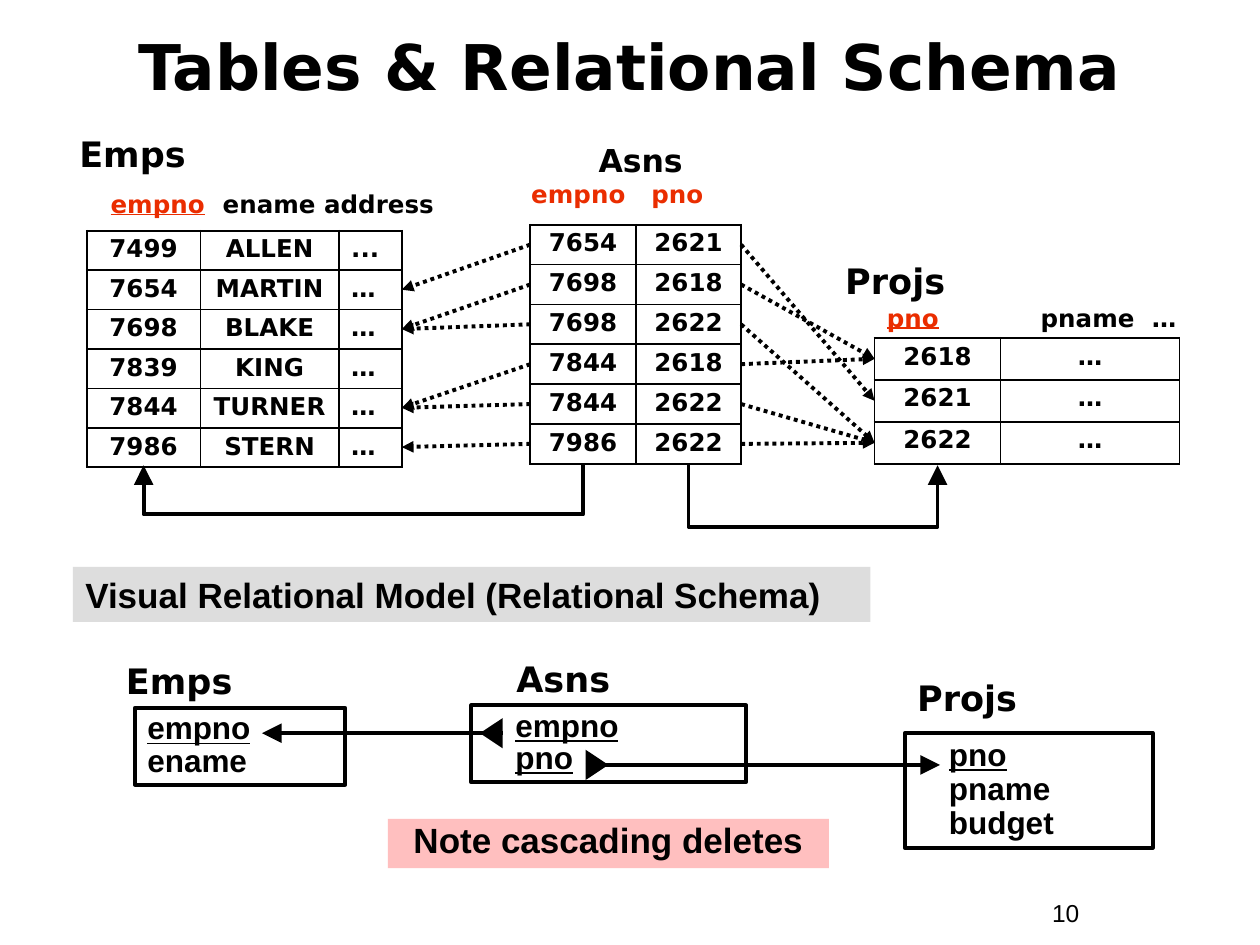
"""Build the slide on linked tables and their relational schema."""
import pptx
import pptx.dml.color
import pptx.enum.dml
import pptx.enum.shapes
import pptx.enum.text
import pptx.oxml
import pptx.oxml.ns
import pptx.util

Cm, Pt = pptx.util.Cm, pptx.util.Pt
KIND = pptx.enum.shapes.MSO_SHAPE
LINK = pptx.enum.shapes.MSO_CONNECTOR
ALIGN = pptx.enum.text.PP_ALIGN
ANCHOR = pptx.enum.text.MSO_ANCHOR
qn = pptx.oxml.ns.qn

THEME = {
    "ink": "000000", "key": "EA2D00", "bar": "DDDDDD", "note": "FFBFBF",
    "head": "DejaVu Sans", "body": "Arial",
    "title": 36, "name": 20, "mid": 18, "small": 14,
    "line": 2.25, "rule": 1.08,
}

TABLES = {
    "emps": {"at": (1.75, 4.65), "cols": (2.29, 2.79, 1.27), "high": 4.76, "left": 2,
             "rows": [("7499", "ALLEN", "..."), ("7654", "MARTIN", "…"),
                      ("7698", "BLAKE", "…"), ("7839", "KING", "…"),
                      ("7844", "TURNER", "…"), ("7986", "STERN", "…")]},
    "asns": {"at": (10.69, 4.53), "cols": (2.13, 2.12), "high": 4.82, "left": None,
             "rows": [("7654", "2621"), ("7698", "2618"), ("7698", "2622"),
                      ("7844", "2618"), ("7844", "2622"), ("7986", "2622")]},
    "projs": {"at": (17.63, 6.81), "cols": (2.54, 3.61), "high": 2.54, "left": None,
              "rows": [("2618", "…"), ("2621", "…"), ("2622", "…")]},
}

NAMES = [
    ("Emps", (1.35, 2.54, 5.46, 1.11), "name", ALIGN.LEFT),
    ("Asns", (10.03, 2.72, 5.77, 1.01), "mid", ALIGN.CENTER),
    ("Projs", (16.79, 5.11, 4.24, 1.11), "name", ALIGN.LEFT),
    ("Emps", (2.29, 13.16, 5.46, 1.11), "name", ALIGN.LEFT),
    ("Asns", (10.16, 13.13, 2.97, 1.11), "name", ALIGN.LEFT),
    ("Projs", (18.24, 13.51, 5.46, 1.11), "name", ALIGN.LEFT),
]

HEADS = [
    ((1.98, 3.68, 9.17, 0.87), [2.26], [("empno", "key", True), ("\tename address", "ink", False)]),
    ((10.46, 3.48, 4.88, 0.87), [2.42], [("empno\tpno", "key", False)]),
    ((17.63, 5.97, 6.78, 0.87), [3.1, 5.34], [("pno", "key", True), ("\tpname\t…", "ink", False)]),
]

BOXES = [
    ((2.72, 14.27, 4.24, 1.55), 0.25, 0.85, [("empno", True), ("ename", False)]),
    ((9.5, 14.22, 5.54, 1.55), 0.89, 0.85, [("empno", True), ("pno", True)]),
    ((18.24, 14.78, 5, 2.31), 0.89, 0.9, [("pno", True), ("pname", False), ("budget", False)]),
]

BARS = [
    ("Visual Relational Model (Relational Schema)", (1.47, 11.43, 16.08, 1.11), "bar", ALIGN.LEFT, 1),
    ("Note cascading deletes", (7.82, 16.51, 8.89, 0.99), "note", ALIGN.CENTER, 0.85),
]

KEYS = [
    ((10.13, 14.78), (5.28, 14.78), (9.6, 14.55), 270),
    ((11.81, 15.42), (18.95, 15.42), (11.73, 15.19), 90),
]


def tint(name):
    return pptx.dml.color.RGBColor.from_string(THEME[name])


def add_run(para, text, face, size, color="ink", bold=True, under=False):
    run = para.add_run()
    run.text = text
    font = run.font
    font.name, font.size = THEME[face], Pt(THEME[size])
    font.bold, font.underline = bold, under
    font.color.rgb = tint(color)


def set_frame(frame, left=0.25):
    frame.word_wrap = True
    frame.vertical_anchor = ANCHOR.TOP
    frame.margin_left, frame.margin_right = Cm(left), Cm(0.25)
    frame.margin_top = frame.margin_bottom = Cm(0.13)
    return frame


def add_text(slide, at, align=ALIGN.LEFT):
    frame = set_frame(slide.shapes.add_textbox(*map(Cm, at)).text_frame)
    para = frame.paragraphs[0]
    para.alignment = align
    return frame, para


def add_block(slide, kind, at, fill=None):
    shape = slide.shapes.add_shape(kind, *map(Cm, at))
    shape.shadow.inherit = False
    if fill:
        shape.fill.solid()
        shape.fill.fore_color.rgb = tint(fill)
        shape.line.fill.background()
    else:
        shape.fill.background()
        shape.line.color.rgb = tint("ink")
        shape.line.width = Pt(THEME["line"])
    return shape


def add_arrow(slide, kind, start, end, size):
    link = slide.shapes.add_connector(kind, *map(Cm, start + end))
    link.line.color.rgb = tint("ink")
    link.line.width = Pt(THEME["line"])
    if size == "med":
        link.line.dash_style = pptx.enum.dml.MSO_LINE.ROUND_DOT
    props = link._element.spPr
    tail = props.find(qn("a:ln")).makeelement(
        qn("a:tailEnd"), {"type": "triangle", "w": size, "len": size})
    props.find(qn("a:ln")).append(tail)
    props.append(props.makeelement(qn("a:effectLst"), {}))
    return link


def add_loop(slide, x1, x2, y, drop):
    thin, wide = 0.03, abs(x2 - x1)
    left, top = (x1 + x2 - thin) / 2, y + (thin - wide) / 2
    link = add_arrow(slide, LINK.ELBOW, (left, top), (left + thin, top + wide), "lg")
    frame = link._element.spPr.find(qn("a:xfrm"))
    frame.set("rot", "5400000")
    if x2 > x1:
        frame.set("flipV", "1")
    shape = link._element.spPr.find(qn("a:prstGeom"))
    guides = shape.get_or_add_avLst()
    guides.append(guides.makeelement(
        qn("a:gd"), {"name": "adj1", "fmla": f"val {round(drop / thin * 100000)}"}))


def add_grid(slide, data):
    rows, cols = data["rows"], data["cols"]
    size = (*data["at"], sum(cols), data["high"])
    grid = slide.shapes.add_table(len(rows), len(cols), *map(Cm, size)).table
    grid.first_row = grid.horz_banding = False
    for col, wide in zip(grid.columns, cols):
        col.width = Cm(wide)
    for i, row in enumerate(rows):
        grid.rows[i].height = Cm(data["high"] / len(rows))
        for j, text in enumerate(row):
            cell = grid.cell(i, j)
            cell.fill.background()
            cell.margin_left = cell.margin_right = Cm(0.25)
            cell.margin_top = cell.margin_bottom = Cm(0.13)
            para = cell.text_frame.paragraphs[0]
            para.alignment = ALIGN.LEFT if j == data["left"] else ALIGN.CENTER
            para.line_spacing = 0.9
            add_run(para, text, "head", "small")
            for n, side in enumerate("LRTB"):
                cell._tc.tcPr.insert(n, pptx.oxml.parse_xml(
                    f'<a:ln{side} {pptx.oxml.ns.nsdecls("a")} w="{int(Pt(THEME["rule"]))}">'
                    f'<a:solidFill><a:srgbClr val="{THEME["ink"]}"/></a:solidFill></a:ln{side}>'))


def mid_row(data, i):
    return data["at"][1] + data["high"] * (i + 0.5) / len(data["rows"])


def find_row(data, key):
    return [row[0] for row in data["rows"]].index(key)


def mid_col(data, j):
    return data["at"][0] + sum(data["cols"][:j]) + data["cols"][j] / 2


def main():
    deck = pptx.Presentation()
    deck.slide_width, deck.slide_height = Cm(25.4), Cm(19.05)
    slide = deck.slides.add_slide(deck.slide_layouts[6])

    frame, para = add_text(slide, (0.84, 0.46, 23.7, 1.7), ALIGN.CENTER)
    frame.vertical_anchor = ANCHOR.MIDDLE
    add_run(para, "Tables & Relational Schema", "head", "title")
    para = add_text(slide, (20.96, 17.98, 2.34, 0.87))[1]
    add_run(para, "10", "body", "small", bold=False)

    for data in TABLES.values():
        add_grid(slide, data)
    for at, stops, runs in HEADS:
        para = add_text(slide, at)[1]
        props = para._p.get_or_add_pPr()
        tabs = props.makeelement(qn("a:tabLst"), {})
        for stop in stops:
            tabs.append(tabs.makeelement(qn("a:tab"), {"pos": str(int(Cm(stop))), "algn": "l"}))
        props.append(tabs)
        for text, color, under in runs:
            add_run(para, text, "head", "small", color, under=under)

    emps, asns, projs = TABLES.values()
    left, right = asns["at"][0], asns["at"][0] + sum(asns["cols"])
    edge = emps["at"][0] + sum(emps["cols"])
    for i, (emp, proj) in enumerate(asns["rows"]):
        y = mid_row(asns, i)
        for x, goal in ((right, (projs["at"][0], mid_row(projs, find_row(projs, proj)))),
                        (left, (edge, mid_row(emps, find_row(emps, emp))))):
            add_arrow(slide, LINK.STRAIGHT, (x, y), goal, "med")
    base = asns["at"][1] + asns["high"]
    add_loop(slide, mid_col(asns, 1), mid_col(projs, 0), base, 1.27)
    add_loop(slide, mid_col(asns, 0), mid_col(emps, 0), base, 1.02)

    for text, at, fill, align, space in BARS:
        para = set_frame(add_block(slide, KIND.RECTANGLE, at, fill).text_frame).paragraphs[0]
        para.alignment, para.line_spacing = align, space
        add_run(para, text, "body", "name")
    for at, inset, space, lines in BOXES:
        frame = set_frame(add_block(slide, KIND.RECTANGLE, at).text_frame, inset)
        for i, (text, under) in enumerate(lines):
            para = frame.add_paragraph() if i else frame.paragraphs[0]
            para.alignment, para.line_spacing = ALIGN.LEFT, space
            add_run(para, text, "body", "mid", under=under)
    for text, at, size, align in NAMES:
        add_run(add_text(slide, at, align)[1], text, "head", size)
    for start, end, spot, turn in KEYS:
        add_arrow(slide, LINK.STRAIGHT, start, end, "lg")
        add_block(slide, KIND.ISOSCELES_TRIANGLE, (*spot, 0.61, 0.46), "ink").rotation = turn

    deck.save("out.pptx")


if __name__ == "__main__":
    main()
